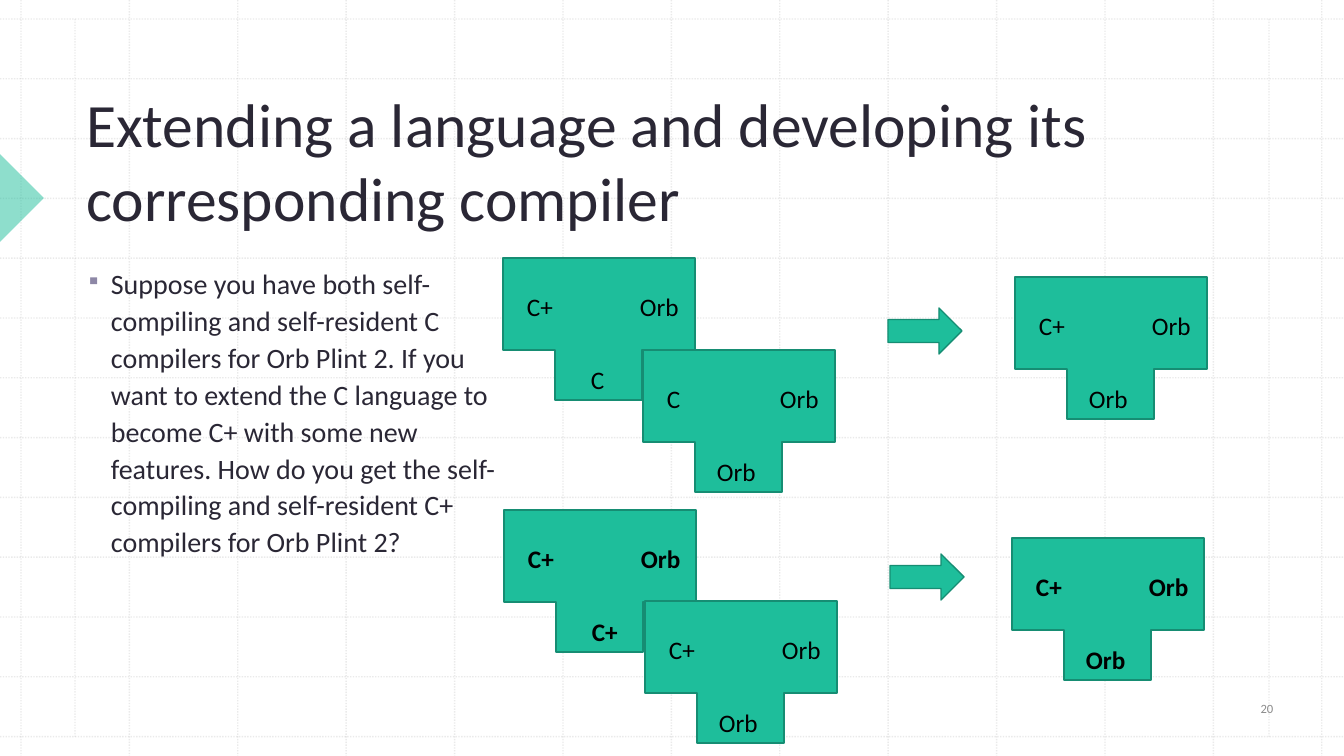
from lxml import etree
from pptx import Presentation
from pptx.dml.color import RGBColor
from pptx.enum.dml import MSO_LINE
from pptx.enum.shapes import MSO_CONNECTOR as CONNECTOR, MSO_SHAPE as SHAPE
from pptx.enum.text import MSO_ANCHOR as ANCHOR, MSO_AUTO_SIZE as AUTO_SIZE, PP_ALIGN as ALIGN
from pptx.oxml.ns import qn
from pptx.util import Emu, Pt

EMU_PER_PX = 914400 / 100.8
WIDTH, HEIGHT = 1344, 756
FONT = "Calibri"
COLORS = {
    "grid": "BCBCBC",
    "green": "1EBE9B",
    "outline": "168D73",
    "ink": "2A2735",
    "label": "000000",
    "number": "8C8C8C",
    "bullet": "8D87A6",
}
LABEL_WIDTHS = {"C": 36, "C+": 49, "Orb": 64}


def px(length):
    return Emu(round(length * EMU_PER_PX))


def color(name):
    return RGBColor.from_string(COLORS[name])


def add_child(parent, tag, **attributes):
    return etree.SubElement(parent, qn(tag), attributes)


def set_opacity(shape, percent):
    for fill_color in shape.element.spPr.iter(qn("a:srgbClr")):
        add_child(fill_color, "a:alpha", val=str(percent * 1000))


def paint(shape):
    shape.shadow.inherit = False
    shape.fill.solid()
    shape.fill.fore_color.rgb = color("green")
    shape.line.color.rgb = color("outline")
    shape.line.width = Pt(1)


def write(frame, text, size, ink, bold=False, align=ALIGN.LEFT, anchor=ANCHOR.TOP, wrap=True):
    frame.auto_size = AUTO_SIZE.NONE
    frame.word_wrap = wrap
    frame.vertical_anchor = anchor
    para = frame.paragraphs[0]
    para.text = text
    para.alignment = align
    para.font.name = FONT
    para.font.size = Pt(size)
    para.font.bold = bold
    para.font.color.rgb = color(ink)
    return para


def add_text(shapes, box, text, size, ink, **style):
    frame = shapes.add_textbox(*map(px, box)).text_frame
    return write(frame, text, size, ink, **style)


def add_grid_line(page, *ends):
    line = page.shapes.add_connector(CONNECTOR.STRAIGHT, *map(px, ends))
    line.line.color.rgb = color("grid")
    line.line.width = Pt(1)
    line.line.dash_style = MSO_LINE.ROUND_DOT
    set_opacity(line, 30)
    add_child(line.element.spPr, "a:effectLst")


def add_background(page):
    left, top, bottom = 21, 19, 737
    column_gap, row_gap = 108.4, 59.8
    for step in range(13):
        x = left + step * column_gap
        y = top + step * row_gap
        add_grid_line(page, x, 0, x, HEIGHT)
        add_grid_line(page, 0, y, WIDTH, y)
    for x in (75, 1269):
        add_grid_line(page, x, top, x, bottom)
    marker = page.shapes.add_shape(SHAPE.RIGHT_TRIANGLE, *map(px, (-31, 167, 62, 62)))
    paint(marker)
    marker.line.fill.background()
    marker.rotation = 225
    set_opacity(marker, 50)


def add_title(page, box, text):
    title = page.shapes.title
    title.left, title.top, title.width, title.height = map(px, box)
    write(title.text_frame, text, 44, "ink", anchor=ANCHOR.BOTTOM)
    title.element.getparent().append(title.element)


def add_question(page, box, text):
    para = add_text(page.shapes, box, text, 20, "ink")
    para.line_spacing = 1.1
    indent = px(25)
    properties = para._p.get_or_add_pPr()
    properties.set("marL", str(indent))
    properties.set("indent", str(-indent))
    bullet_color = etree.Element(qn("a:buClr"))
    add_child(bullet_color, "a:srgbClr", val=COLORS["bullet"])
    bullet_size = etree.Element(qn("a:buSzPct"), val="75000")
    bullet = etree.Element(qn("a:buChar"), char="▪")
    for offset, element in enumerate((bullet_color, bullet_size, bullet), 1):
        properties.insert(offset, element)


def add_t_diagram(page, left, top, source, target, host, bold=False):
    width, height, bar = 192, 142, 92
    stem_left, stem_right = 52, 139
    group = page.shapes.add_group_shape()
    outline = group.shapes.build_freeform(left, top, scale=EMU_PER_PX)
    corners = [
        (width, 0), (width, bar), (stem_right, bar), (stem_right, height),
        (stem_left, height), (stem_left, bar), (0, bar),
    ]
    outline.add_line_segments([(left + x, top + y) for x, y in corners])
    paint(outline.convert_to_shape())
    host_x = 64 if host == "Orb" else 78
    for text, x, y in ((source, 14, 28), (target, 127, 28), (host, host_x, 101)):
        box = (left + x, top + y, LABEL_WIDTHS[text], 40)
        add_text(group.shapes, box, text, 18, "label", bold=bold, wrap=False)


def add_arrow(page, left, top):
    paint(page.shapes.add_shape(SHAPE.RIGHT_ARROW, *map(px, (left, top, 74, 46))))


def build_slide(deck):
    page = deck.slides.add_slide(deck.slide_layouts[5])
    add_background(page)
    add_title(page, (76, 80, 1138, 159), "Extending a language and developing its corresponding compiler")
    add_question(
        page,
        (76, 258, 444, 393),
        "Suppose you have both self-compiling and self-resident C compilers for Orb Plint 2. "
        "If you want to extend the C language to become C+ with some new features. "
        "How do you get the self-compiling and self-resident C+ compilers for Orb Plint 2?",
    )
    add_text(page.shapes, (1213, 685, 108, 46), "20", 9, "number", align=ALIGN.CENTER, anchor=ANCHOR.MIDDLE)
    add_t_diagram(page, 503, 258, "C+", "Orb", "C")
    add_t_diagram(page, 643, 350, "C", "Orb", "Orb")
    add_t_diagram(page, 1015, 277, "C+", "Orb", "Orb")
    add_t_diagram(page, 504, 510, "C+", "Orb", "C+", bold=True)
    add_t_diagram(page, 645, 601, "C+", "Orb", "Orb")
    add_t_diagram(page, 1012, 538, "C+", "Orb", "Orb", bold=True)
    add_arrow(page, 888, 308)
    add_arrow(page, 890, 554)


def main():
    deck = Presentation()
    deck.slide_width, deck.slide_height = px(WIDTH), px(HEIGHT)
    build_slide(deck)
    deck.save("out.pptx")


if __name__ == "__main__":
    main()
